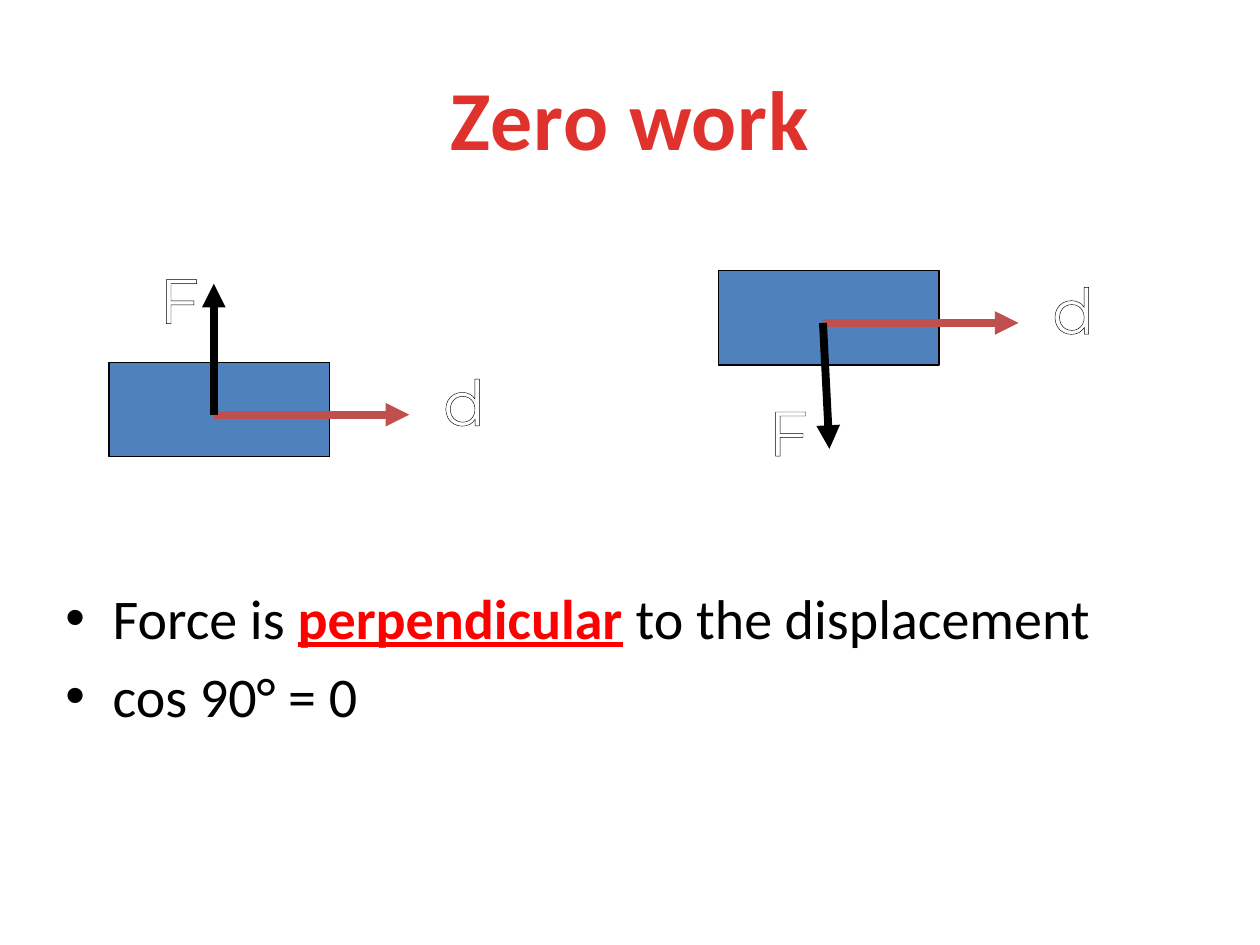
import lxml.etree
import pptx
import pptx.dml.color
import pptx.enum.shapes
import pptx.enum.text
import pptx.oxml.ns
import pptx.util
from pptx.util import Cm

COLOURS = {
    "title": "E0322D",
    "text": "000000",
    "emphasis": "FF0000",
    "block": "4F81BD",
    "outline": "000000",
    "label": "FFFFFF",
    "force": "000000",
    "displacement": "C0504D",
}


def rgb(name):
    return pptx.dml.color.RGBColor.from_string(COLOURS[name])


def add_xml(parent, tag, **attributes):
    return lxml.etree.SubElement(parent, pptx.oxml.ns.qn(tag), attributes)


class SlideBuilder:
    body_font = "Calibri"
    label_font = "Montserrat"

    def __init__(self, slide):
        self.slide = slide

    def text_box(self, left, top, width, height, wrap=True):
        shape = self.slide.shapes.add_textbox(Cm(left), Cm(top), Cm(width), Cm(height))
        shape.text_frame.word_wrap = wrap
        return shape.text_frame

    def format_run(self, run, font, size, colour, bold=False):
        run.font.name = font
        run.font.size = pptx.util.Pt(size)
        run.font.bold = bold
        run.font.color.rgb = rgb(colour)

    def title(self, text, left, top, width, height):
        frame = self.text_box(left, top, width, height)
        frame.vertical_anchor = pptx.enum.text.MSO_ANCHOR.MIDDLE
        frame.text = text
        paragraph = frame.paragraphs[0]
        paragraph.alignment = pptx.enum.text.PP_ALIGN.CENTER
        run = paragraph.runs[0]
        self.format_run(run, self.body_font, 48, "title", bold=True)
        run.font._element.set("spc", "50")

    def bullets(self, items, left, top, width, height):
        """Each item is a list of (text, emphasised) pairs."""
        frame = self.text_box(left, top, width, height)
        for index, item in enumerate(items):
            paragraph = frame.paragraphs[0] if index == 0 else frame.add_paragraph()
            paragraph.space_before = pptx.util.Pt(6.4)
            properties = paragraph._p.get_or_add_pPr()
            properties.set("marL", str(Cm(0.95)))
            properties.set("indent", str(-Cm(0.95)))
            add_xml(properties, "a:buFont", typeface="Arial")
            add_xml(properties, "a:buChar", char="•")
            for text, emphasised in item:
                run = paragraph.add_run()
                run.text = text
                colour = "emphasis" if emphasised else "text"
                self.format_run(run, self.body_font, 32, colour, bold=emphasised)
                run.font.underline = emphasised

    def block(self, left, top, width, height):
        shape = self.slide.shapes.add_shape(
            pptx.enum.shapes.MSO_SHAPE.RECTANGLE,
            Cm(left), Cm(top), Cm(width), Cm(height))
        shape.shadow.inherit = False
        shape.fill.solid()
        shape.fill.fore_color.rgb = rgb("block")
        shape.line.color.rgb = rgb("outline")
        shape.line.width = pptx.util.Pt(0.75)

    def outlined_label(self, text, left, top):
        frame = self.text_box(left, top, 0.84, 1.17, wrap=False)
        frame.text = text
        paragraph = frame.paragraphs[0]
        paragraph.alignment = pptx.enum.text.PP_ALIGN.CENTER
        run = paragraph.runs[0]
        self.format_run(run, self.label_font, 36, "label")
        properties = run.font._element
        outline = add_xml(properties, "a:ln", w=str(pptx.util.Pt(0.75)))
        add_xml(add_xml(outline, "a:solidFill"), "a:srgbClr", val=COLOURS["outline"])
        properties.insert(0, outline)  # the schema wants the outline first

    def arrow(self, start_x, start_y, run_x, run_y, colour):
        connector = self.slide.shapes.add_connector(
            pptx.enum.shapes.MSO_CONNECTOR.STRAIGHT,
            Cm(start_x), Cm(start_y), Cm(start_x + run_x), Cm(start_y + run_y))
        connector.line.color.rgb = rgb(colour)
        connector.line.width = pptx.util.Pt(4.5)
        add_xml(connector.line._get_or_add_ln(), "a:tailEnd", type="triangle")
        add_xml(connector._element.spPr, "a:effectLst")

    def force_diagram(self, left, top, force, force_label_offset):
        """Draw a block moving right under a vertical force (run_x, run_y)."""
        origin_x, origin_y = left + 2.11, top + 1.05
        self.block(left, top, 4.45, 1.9)
        self.outlined_label("F", left + 0.76, top + force_label_offset)
        self.outlined_label("d", left + 6.48, top - 0.12)
        self.arrow(origin_x, origin_y, 3.94, 0, "displacement")
        self.arrow(origin_x, origin_y, *force, "force")


def main():
    presentation = pptx.Presentation()
    presentation.slide_width = Cm(25.4)
    presentation.slide_height = Cm(19.05)
    slide = presentation.slides.add_slide(presentation.slide_layouts[6])
    builder = SlideBuilder(slide)

    builder.title("Zero work", 1.27, 0.76, 22.86, 3.18)
    builder.bullets(
        [
            [("Force is ", False), ("perpendicular", True),
             (" to the displacement", False)],
            [("cos 90° = 0", False)],
        ],
        1.07, 11.63, 22.86, 3.05)
    builder.force_diagram(2.2, 7.31, (0, -2.64), -2.18)
    builder.force_diagram(14.48, 5.46, (0.13, 2.54), 2.34)

    presentation.save("out.pptx")


if __name__ == "__main__":
    main()
